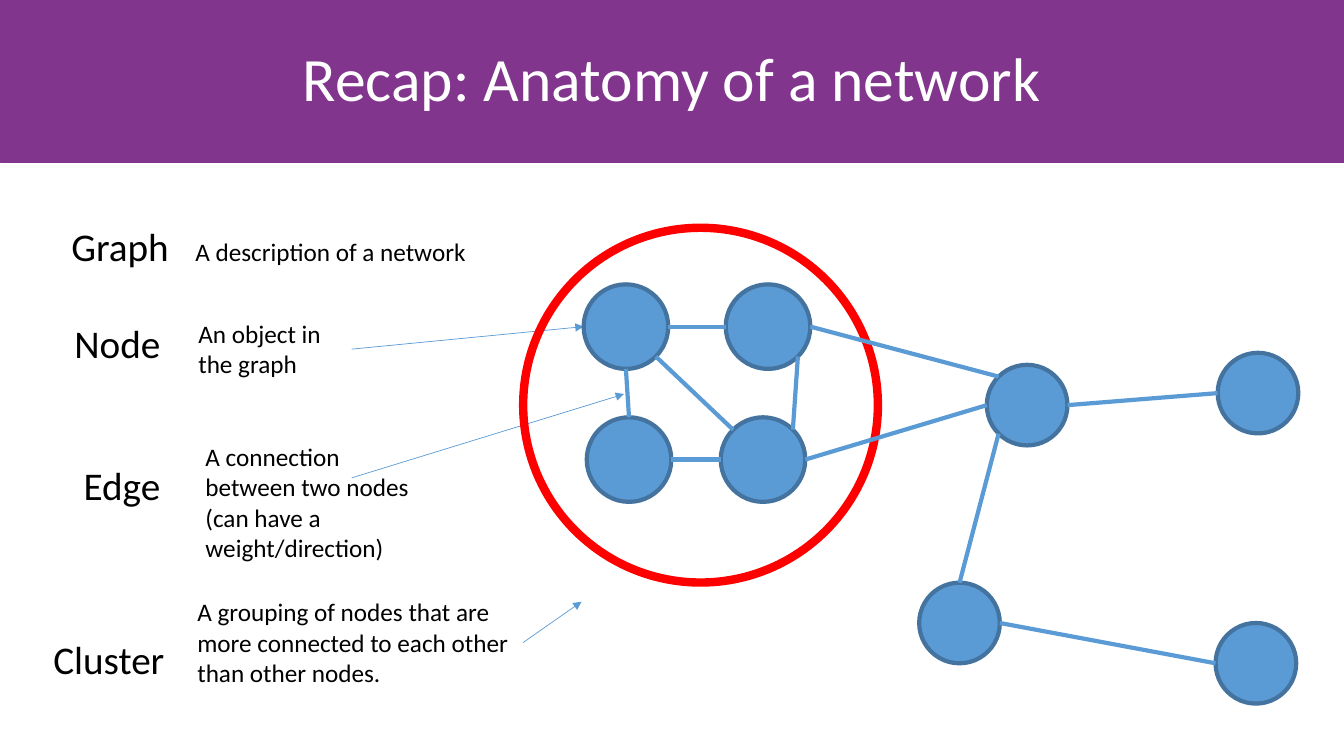
"""Build the slide that recaps the anatomy of a network."""
from math import cos, radians, sin

from lxml.etree import SubElement
from pptx import Presentation
from pptx.dml.color import RGBColor
from pptx.enum.shapes import MSO_CONNECTOR as Connector, MSO_SHAPE as Shape
from pptx.enum.text import MSO_ANCHOR as Anchor, MSO_AUTO_SIZE as AutoSize, PP_ALIGN as Align
from pptx.oxml.ns import qn
from pptx.util import Pt

FONT = "Calibri"
COLORS = {
    "band": "81358D",
    "title": "FFFFFF",
    "text": "000000",
    "node": "5B9BD5",
    "outline": "43739E",
    "cluster": "FF0000",
}


def add_shape(kind, left, top, width, height, fill, line, weight):
    shape = page.shapes.add_shape(kind, Pt(left), Pt(top), Pt(width), Pt(height))
    shape.shadow.inherit = False
    if fill:
        shape.fill.solid()
        shape.fill.fore_color.rgb = RGBColor.from_string(COLORS[fill])
    else:
        shape.fill.background()
    shape.line.color.rgb = RGBColor.from_string(COLORS[line])
    shape.line.width = Pt(weight)
    return shape


def add_line(start, end, weight):
    line = page.shapes.add_connector(Connector.STRAIGHT, *(Pt(value) for value in start + end))
    line.line.color.rgb = RGBColor.from_string(COLORS["node"])
    line.line.width = Pt(weight)
    SubElement(line.element.spPr, qn("a:effectLst"))
    return line


deck = Presentation()
deck.slide_width, deck.slide_height = Pt(960), Pt(540)
page = deck.slides.add_slide(deck.slide_layouts[5])

band = add_shape(Shape.RECTANGLE, 0, -0.7, 960, 116.6, "band", "band", 0.5)
title = page.shapes.title
title.left, title.top, title.width, title.height = Pt(66), Pt(5.8), Pt(828), Pt(104.4)
band.element.addnext(title.element)
title.text_frame.text = "Recap: Anatomy of a network"
title.text_frame.vertical_anchor = Anchor.MIDDLE
heading = title.text_frame.paragraphs[0]
heading.alignment = Align.CENTER
heading.line_spacing = 0.9
heading.font.name = FONT
heading.font.size = Pt(44)
heading.font.color.rgb = RGBColor.from_string(COLORS["title"])

texts = [
    ("Cluster", 31, 450, 95, 41, 28),
    ("A grouping of nodes that are more connected to each other than other nodes.",
     133.9, 422.6, 239.8, 72.7, 18),
    ("Node", 46.1, 224.6, 76.3, 41, 28),
    ("An object in the graph", 134.6, 223.9, 116.6, 51, 18),
    ("Edge", 52.6, 326.2, 75.6, 41, 28),
    ("A connection between two nodes (can have a weight/direction)",
     139.7, 311.8, 170.6, 94.3, 18),
    ("Graph\tA description of a network", 43.9, 155.5, 306.7, 41, 28),
]
boxes = {}
for text, left, top, width, height, size in texts:
    box = page.shapes.add_textbox(Pt(left), Pt(top), Pt(width), Pt(height))
    box.text_frame.word_wrap = " " in text
    box.text_frame.auto_size = AutoSize.SHAPE_TO_FIT_TEXT
    para = box.text_frame.paragraphs[0]
    term, tab, description = text.partition("\t")
    para.add_run().text = term + tab
    if description:
        tabs = SubElement(para._p.get_or_add_pPr(), qn("a:tabLst"))
        SubElement(tabs, qn("a:tab"), pos=str(Pt(88.6)), algn="l")
        span = para.add_run()
        span.text = description
        span.font.size = Pt(18)
    para.font.name = FONT
    para.font.size = Pt(size)
    para.font.color.rgb = RGBColor.from_string(COLORS["text"])
    boxes[term] = box

pointers = [
    ((373.7, 458.9), (415.4, 429.8), "A grouping of nodes that are more connected to each other than other nodes."),
    ((251.3, 341.3), (445.7, 281.5), None),
    ((251.2, 249.4), (416.9, 233.3), "An object in the graph"),
]
for start, end, source in pointers:
    pointer = add_line(start, end, 0.5)
    if source:
        pointer.begin_connect(boxes[source], 3)
    SubElement(pointer.line._get_or_add_ln(), qn("a:tailEnd"), type="triangle")

add_shape(Shape.OVAL, 373.7, 162.7, 253.4, 253.4, None, "cluster", 6)
nodes = {
    "lower": (685.4, 445, 28.8),
    "hub": (733.7, 289.4, 28.8),
    "right": (898.6, 280.8, 28.8),
    "corner": (897.1, 473.8, 28.8),
    "top left": (447.1, 233.3, 30.2),
    "bottom left": (449.3, 328.3, 30.2),
    "top right": (548.6, 233.3, 30.2),
    "bottom right": (545, 328.3, 30.2),
}
for x, y, radius in nodes.values():
    add_shape(Shape.OVAL, x - radius, y - radius, 2 * radius, 2 * radius, "node", "outline", 3)

edges = [
    ("hub", 180, "bottom right", 0),
    ("hub", 0, "right", 180),
    ("hub", 225, "top right", 0),
    ("lower", 270, "hub", 135),
    ("lower", 0, "corner", 180),
    ("bottom right", 180, "bottom left", 0),
    ("bottom right", 315, "top right", 45),
    ("bottom left", 270, "top left", 90),
    ("bottom right", 225, "top left", 45),
    ("top right", 180, "top left", 0),
]
for first, first_angle, second, second_angle in edges:
    ends = []
    for name, angle in ((first, first_angle), (second, second_angle)):
        x, y, radius = nodes[name]
        ends.append((x + radius * cos(radians(angle)), y + radius * sin(radians(angle))))
    add_line(*ends, 3)

deck.save("out.pptx")
